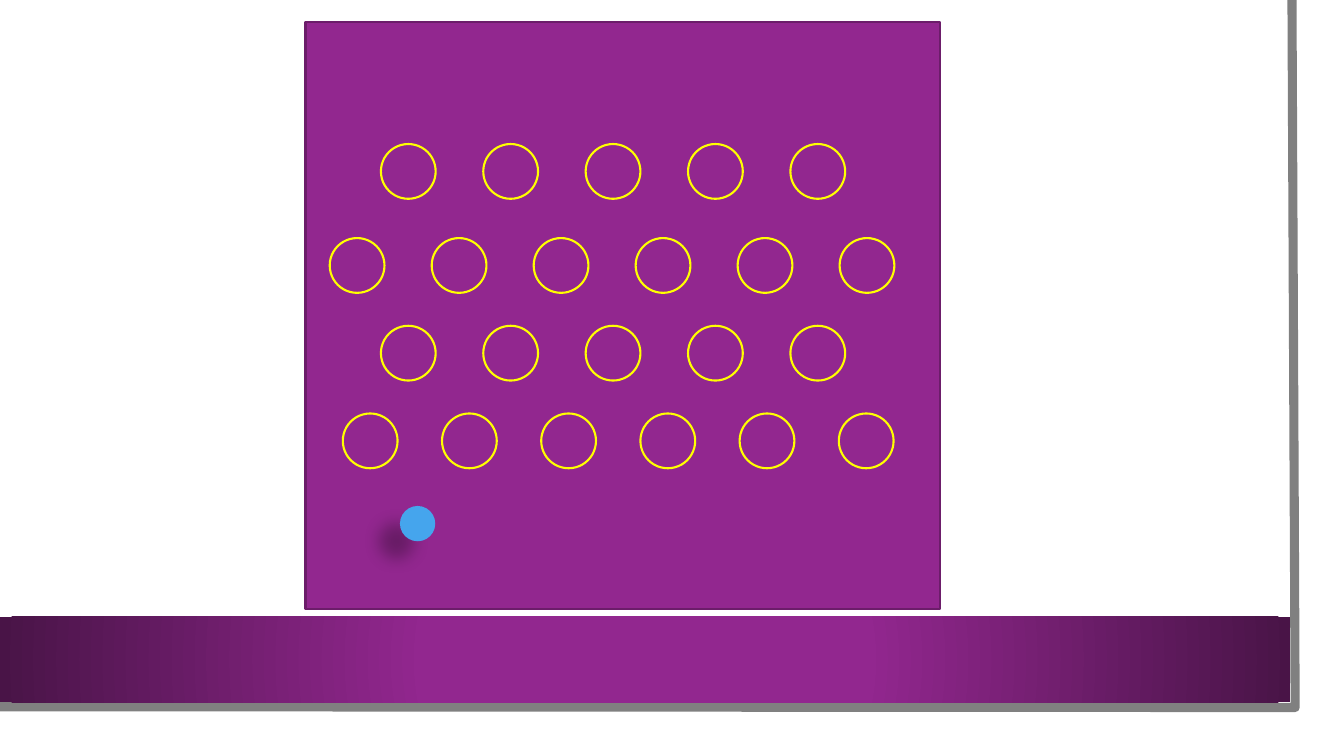
from lxml import etree
from pptx import Presentation
from pptx.dml.color import RGBColor
from pptx.enum import shapes as kinds
from pptx.oxml import parse_xml
from pptx.oxml.ns import nsdecls
from pptx.util import Cm, Pt

PURPLE = "92278F"
HOLE_SIZE = 1.38
HOLE_ROWS = [
    (1.9, 3.07, 2.58, 5),
    (0.61, 5.44, 2.57, 6),
    (1.9, 7.65, 2.58, 5),
    (0.94, 9.86, 2.5, 6),
]


def colour(value):
    """Turn a hex string into a colour."""
    return RGBColor.from_string(value)


def add_part(slide, kind, box, fill, outline=None):
    """Add a flat preset shape in a box given in centimetres."""
    part = slide.shapes.add_shape(kind, *map(Cm, box))
    part.shadow.inherit = False
    part.fill.solid()
    part.fill.fore_color.rgb = colour(fill)
    if outline:
        part.line.color.rgb = colour(outline)
        part.line.width = Pt(1.5)
    else:
        part.line.fill.background()
    return part


def add_frame(slide, left, top, width, height):
    """Draw the grey edge down the right side and along the bottom."""
    corners = [
        (left + width - 0.08, top),
        (left + width, top + height),
        (left, top + height - 0.02),
    ]
    start, *rest = [(Cm(x), Cm(y)) for x, y in corners]
    builder = slide.shapes.build_freeform(*start)
    builder.add_line_segments(rest, close=False)
    edge = builder.convert_to_shape()
    edge.shadow.inherit = False
    edge.fill.background()
    edge.line.color.rgb = colour("808080")
    edge.line.width = Pt(6.5)


def add_band(slide, left, top, width, height):
    """Draw the bottom band, shaded from its centre outwards."""
    band = add_part(slide, kinds.MSO_SHAPE.RECTANGLE, (left, top, width, height), PURPLE)
    gradient = parse_xml(
        f'<a:gradFill {nsdecls("a")} rotWithShape="1"><a:gsLst>'
        f'<a:gs pos="34000"><a:srgbClr val="{PURPLE}"/></a:gs>'
        '<a:gs pos="100000"><a:srgbClr val="491447"/></a:gs></a:gsLst>'
        '<a:path path="circle"><a:fillToRect l="50000" t="50000" r="50000" b="50000"/>'
        "</a:path></a:gradFill>"
    )
    properties = band.fill._xPr
    properties.replace(properties.solidFill, gradient)


def add_ball(slide, left, top, size):
    """Draw the blue ball with its soft shadow."""
    ball = add_part(slide, kinds.MSO_SHAPE.OVAL, (left, top, size, size), "45A5ED")
    effects = ball._element.spPr.find("{*}effectLst")
    shadow = parse_xml(
        f'<a:outerShdw {nsdecls("a")} blurRad="{Pt(11.8)}" dist="{Pt(19.7)}"'
        f' dir="{141 * 60000}" algn="ctr" rotWithShape="0">'
        '<a:srgbClr val="000000"><a:alpha val="28000"/></a:srgbClr></a:outerShdw>'
    )
    effects.append(shadow)


def add_board(slide, left, top, width, height):
    """Draw the board with its staggered rows of holes and the ball."""
    add_part(slide, kinds.MSO_SHAPE.RECTANGLE, (left, top, width, height), PURPLE, "6C1D6A")
    for indent, drop, pitch, count in HOLE_ROWS:
        for column in range(count):
            hole = (left + indent + column * pitch, top + drop, HOLE_SIZE, HOLE_SIZE)
            add_part(slide, kinds.MSO_SHAPE.OVAL, hole, PURPLE, "FFFF00")
    add_ball(slide, left + 2.38, top + 12.19, 0.89)


def main():
    """Build the slide and save it."""
    deck = Presentation()
    deck.slide_width, deck.slide_height = Cm(33.87), Cm(19.05)
    slide = deck.slides.add_slide(deck.slide_layouts[6])
    add_frame(slide, -0.08, 0, 32.72, 17.83)
    add_band(slide, 0, 15.54, 32.51, 2.16)
    add_board(slide, 7.7, 0.56, 16, 14.78)
    deck.save("out.pptx")


if __name__ == "__main__":
    main()
